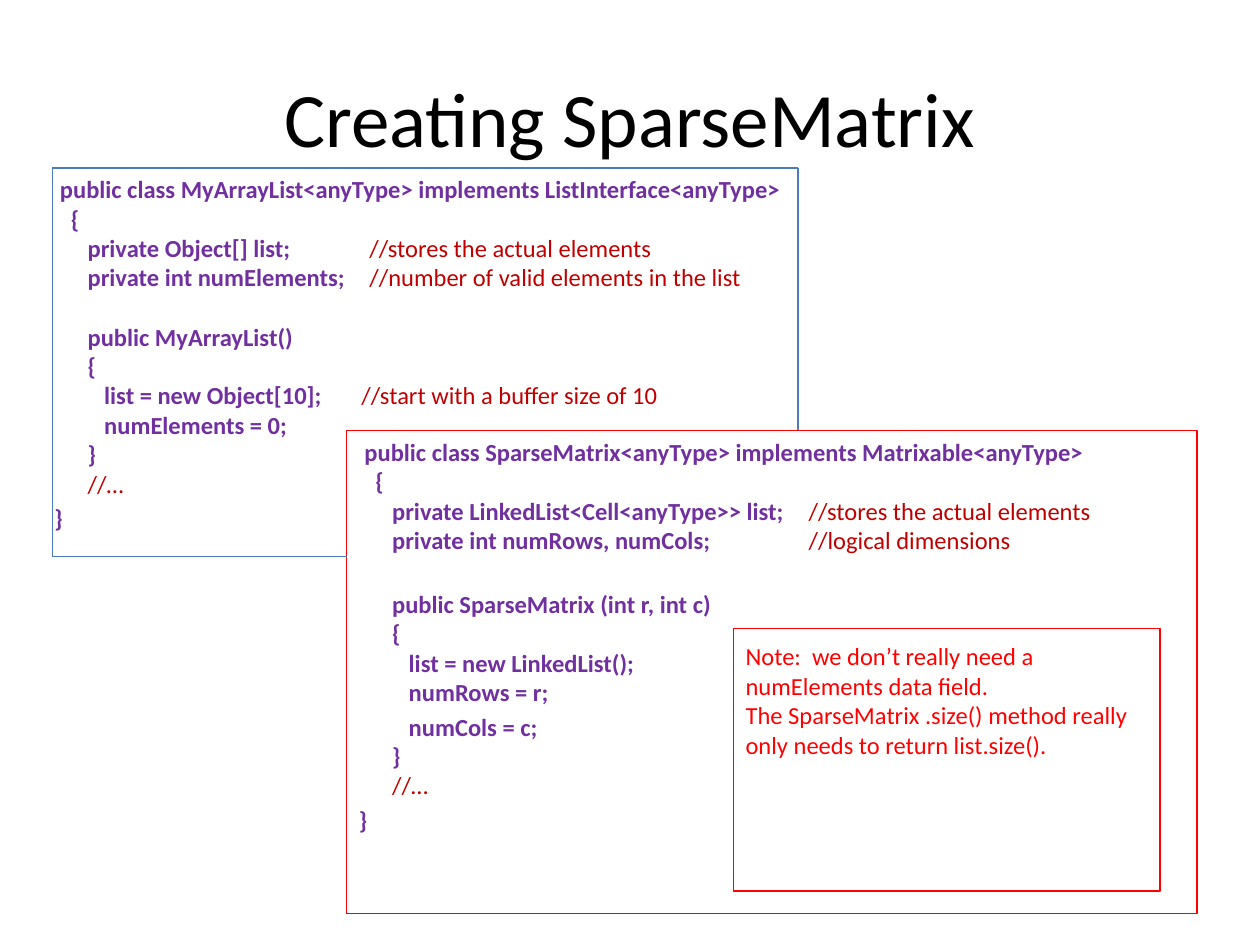
from dataclasses import dataclass

from lxml.etree import SubElement
from pptx import Presentation
from pptx.dml.color import RGBColor
from pptx.enum.shapes import MSO_CONNECTOR, MSO_SHAPE
from pptx.enum.text import MSO_ANCHOR, PP_ALIGN
from pptx.oxml.ns import qn
from pptx.util import Pt


@dataclass(frozen=True)
class Theme:
    font: str = "Calibri"
    title_size: int = 44
    body_size: int = 14
    title: str = "000000"
    code: str = "7030A0"
    comment: str = "C00000"
    note: str = "FF0000"
    alert_border: str = "FF0000"
    plain_border: str = "FFFFFF"
    frame: str = "4A7DBA"
    border_width: float = 0.75


THEME = Theme()

TITLE = "Creating SparseMatrix"
TITLE_BOX = (36, 21.6, 648, 90)

# Each block: space before, tab stop of its comments, lines of (code, comment).
ARRAY_LIST = [
    (0, 180, [
        (" public class MyArrayList<anyType> implements ListInterface<anyType>", ""),
        ("   {", ""),
        ("      private Object[] list;", "//stores the actual elements"),
        ("      private int numElements;", "//number of valid elements in the list"),
    ]),
    (17, 175.5, [
        ("      public MyArrayList()", ""),
        ("      {", ""),
        ("         list = new Object[10];", "//start with a buffer size of 10"),
        ("         numElements = 0;", ""),
        ("      }", ""),
        ("      ", "//…"),
    ]),
    (2.8, None, [("}", "")]),
]
SPARSE_MATRIX = [
    (0, 257, [
        (" public class SparseMatrix<anyType> implements Matrixable<anyType>", ""),
        ("   {", ""),
        ("      private LinkedList<Cell<anyType>> list;", "//stores the actual elements"),
        ("      private int numRows, numCols;", "//logical dimensions"),
    ]),
    (19.8, None, [
        ("      public SparseMatrix (int r, int c)", ""),
        ("      {", ""),
        ("         list = new LinkedList();", ""),
        ("         numRows = r;", ""),
    ]),
    (2.8, None, [
        ("         numCols = c;", ""),
        ("      }", ""),
        ("      ", "//…"),
    ]),
    (2.8, None, [("}", "")]),
]
CODE_PANELS = [
    ((24, 96, 432, 210), THEME.plain_border, ARRAY_LIST),
    ((198, 246, 486, 276), THEME.alert_border, SPARSE_MATRIX),
]

# The frame around the first class stops where the second panel covers it.
FRAME_LEFT, FRAME_TOP, FRAME_RIGHT, FRAME_BOTTOM = 30, 96, 456, 318
PANEL_LEFT, PANEL_TOP = CODE_PANELS[1][0][:2]
FRAME_LINES = [
    (FRAME_LEFT, FRAME_TOP, FRAME_RIGHT, FRAME_TOP),
    (FRAME_RIGHT, FRAME_TOP, FRAME_RIGHT, PANEL_TOP),
    (FRAME_LEFT, FRAME_TOP, FRAME_LEFT, FRAME_BOTTOM),
    (FRAME_LEFT, FRAME_BOTTOM, PANEL_LEFT, FRAME_BOTTOM),
]

NOTE = [
    "Note:  we don’t really need a numElements data field.",
    "The SparseMatrix .size() method really only needs to return list.size().",
]
NOTE_BOX = (419, 359.3, 244, 149.8)


def in_points(values):
    return [Pt(value) for value in values]


def add_run(paragraph, text, color, size=THEME.body_size, bold=False):
    run = paragraph.add_run()
    run.text = text
    run.font.name = THEME.font
    run.font.size = Pt(size)
    run.font.bold = bold
    run.font.color.rgb = RGBColor.from_string(color)


def set_line(line, color):
    line.color.rgb = RGBColor.from_string(color)
    line.width = Pt(THEME.border_width)


def paragraphs(frame, items):
    """Pair each item with its own left-aligned paragraph."""
    for index, item in enumerate(items):
        paragraph = frame.add_paragraph() if index else frame.paragraphs[0]
        paragraph.alignment = PP_ALIGN.LEFT
        yield paragraph, item


def add_panel(slide, box, border, inset=3.6):
    panel = slide.shapes.add_shape(MSO_SHAPE.RECTANGLE, *in_points(box))
    panel.shadow.inherit = False
    panel.fill.background()
    set_line(panel.line, border)
    frame = panel.text_frame
    frame.word_wrap = True
    frame.vertical_anchor = MSO_ANCHOR.TOP
    frame.margin_top = frame.margin_bottom = Pt(inset)
    return frame


def add_tab_stop(paragraph, position):
    properties = paragraph._p.get_or_add_pPr()
    stops = SubElement(properties, qn("a:tabLst"))
    SubElement(stops, qn("a:tab"), pos=str(Pt(position)), algn="l")


def add_code(frame, blocks):
    for paragraph, (space_before, tab_stop, lines) in paragraphs(frame, blocks):
        if space_before:
            paragraph.space_before = Pt(space_before)
        if tab_stop:
            add_tab_stop(paragraph, tab_stop)
        for number, (code, comment) in enumerate(lines):
            if number:
                paragraph.add_line_break()
            gap = "\t" if comment and code.strip() else ""
            add_run(paragraph, code + gap, THEME.code, bold=True)
            if comment:
                add_run(paragraph, comment, THEME.comment)


def add_title(slide):
    frame = slide.shapes.add_textbox(*in_points(TITLE_BOX)).text_frame
    frame.word_wrap = True
    frame.vertical_anchor = MSO_ANCHOR.MIDDLE
    heading = frame.paragraphs[0]
    heading.alignment = PP_ALIGN.CENTER
    add_run(heading, TITLE, THEME.title, THEME.title_size)


def add_frame_line(slide, ends):
    line = slide.shapes.add_connector(MSO_CONNECTOR.STRAIGHT, *in_points(ends))
    set_line(line.line, THEME.frame)
    SubElement(line._element.spPr, qn("a:effectLst"))


def main():
    deck = Presentation()
    deck.slide_width, deck.slide_height = Pt(720), Pt(540)
    slide = deck.slides.add_slide(deck.slide_layouts[6])

    add_title(slide)
    for box, border, blocks in CODE_PANELS:
        add_code(add_panel(slide, box, border), blocks)
    for ends in FRAME_LINES:
        add_frame_line(slide, ends)
    note_frame = add_panel(slide, NOTE_BOX, THEME.alert_border, inset=7.2)
    for paragraph, sentence in paragraphs(note_frame, NOTE):
        add_run(paragraph, sentence, THEME.note)

    deck.save("out.pptx")


if __name__ == "__main__":
    main()
